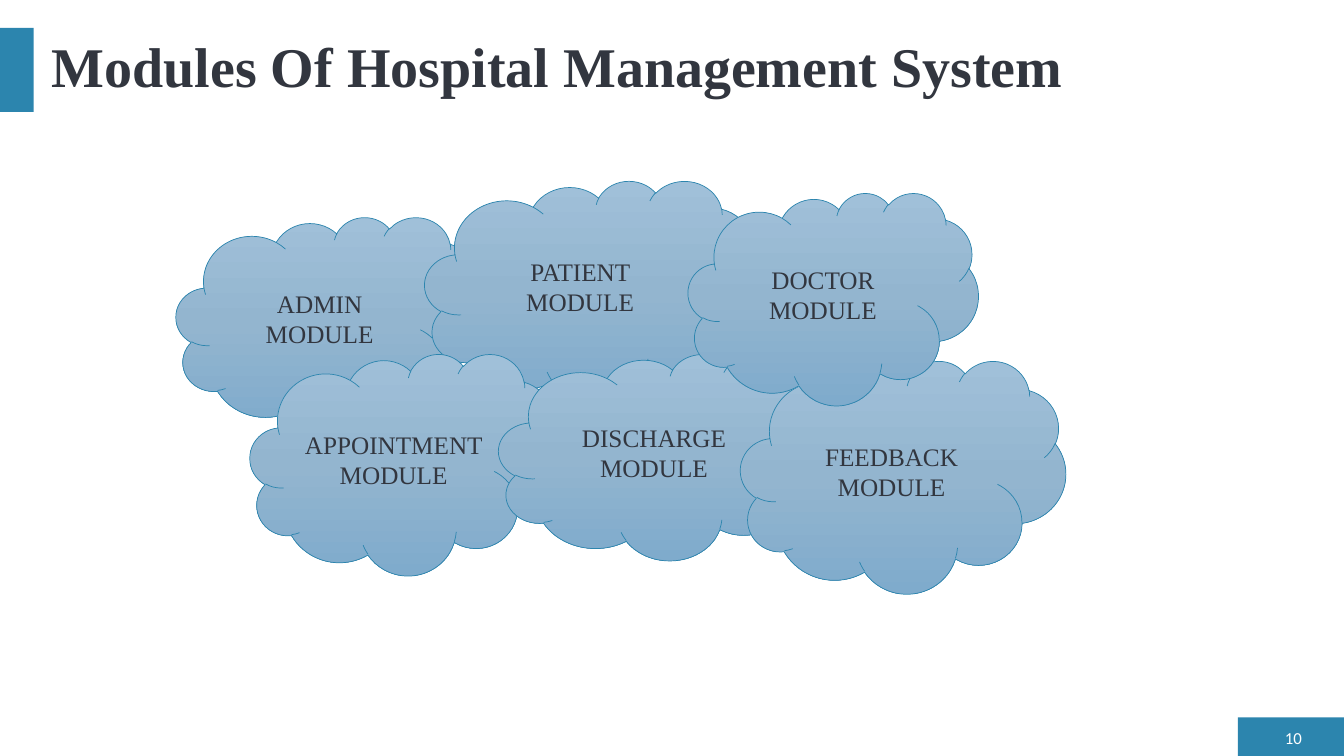
from copy import deepcopy
from dataclasses import dataclass

from pptx import Presentation
from pptx.dml.color import RGBColor
from pptx.enum.shapes import MSO_SHAPE as Shape
from pptx.enum.text import MSO_ANCHOR as Anchor, MSO_AUTO_SIZE as AutoSize, PP_ALIGN as Align
from pptx.oxml.ns import qn
from pptx.util import Inches, Pt

SLIDE_WIDTH, SLIDE_HEIGHT = Inches(13.33), Inches(7.5)


@dataclass(frozen=True)
class Theme:
    accent: str = "2C85AE"
    ink: str = "32363F"
    white: str = "FFFFFF"
    cloud_stops: tuple = ((0, "A0C0D9"), (0.5, "93B5CF"), (1, "7FABCC"))
    heading_font: str = "Times New Roman"
    number_font: str = "Calibri"
    title_size: int = 40
    module_size: int = 18
    number_size: int = 12


THEME = Theme()

# Boxes are left, top, width, height in percent of the slide
CORNER_BAR = (92.1, 94.9, 7.9, 5.1)
TITLE_BAR = (0, 3.7, 2.5, 11.1)
TITLE_BOX = (3.1, 3.6, 94.5, 11.1)
NUMBER_BOX = (94.5, 96, 3.1, 3.1)

# Listed from back to front, because the clouds overlap
MODULES = [
    ("ADMIN MODULE", (13.1, 28.7, 23, 28.1)),
    ("PATIENT MODULE", (31.6, 23.9, 24.9, 29.3)),
    ("APPOINTMENT MODULE", (18.6, 46.8, 23, 29.3)),
    ("DISCHARGE MODULE", (37.1, 46.8, 24.9, 27.3)),
    ("FEEDBACK MODULE", (55.1, 47.7, 24.2, 30.8)),
    ("DOCTOR MODULE", (51.2, 25.5, 21.6, 28.1)),
]


def place(box):
    """Turn a percent box into slide lengths."""
    sides = (SLIDE_WIDTH, SLIDE_HEIGHT) * 2
    return [round(share * side / 100) for share, side in zip(box, sides)]


def write(shape, text, font_name, size, color, align, bold=False):
    frame = shape.text_frame
    frame.text = text
    frame.word_wrap = True
    frame.auto_size = AutoSize.NONE
    frame.vertical_anchor = Anchor.MIDDLE
    paragraph = frame.paragraphs[0]
    paragraph.alignment = align
    font = paragraph.runs[0].font
    font.name, font.size, font.bold = font_name, Pt(size), bold
    font.color.rgb = RGBColor.from_string(color)
    return paragraph


def add_bar(slide, box):
    bar = slide.shapes.add_shape(Shape.RECTANGLE, *place(box))
    bar.shadow.inherit = False
    bar.fill.solid()
    bar.fill.fore_color.rgb = RGBColor.from_string(THEME.accent)
    bar.line.fill.background()


def add_title(slide, text):
    title = slide.shapes.title
    title.left, title.top, title.width, title.height = place(TITLE_BOX)
    paragraph = write(title, text, THEME.heading_font, THEME.title_size,
                      THEME.ink, Align.LEFT, bold=True)
    paragraph.line_spacing = 0.9


def add_slide_number(slide, number):
    box = slide.shapes.add_textbox(*place(NUMBER_BOX))
    write(box, number, THEME.number_font, THEME.number_size, THEME.white, Align.RIGHT)


def fill_gradient(shape):
    shape.fill.gradient()
    shape.fill.gradient_angle = 270
    # The new gradient has two stops; a third goes between them
    first_stop = next(shape.element.spPr.iter(qn("a:gs")))
    first_stop.addnext(deepcopy(first_stop))
    for stop, (position, color) in zip(shape.fill.gradient_stops, THEME.cloud_stops):
        stop.position = position
        stop.color.rgb = RGBColor.from_string(color)


def add_module(slide, name, box):
    cloud = slide.shapes.add_shape(Shape.CLOUD, *place(box))
    cloud.shadow.inherit = False
    fill_gradient(cloud)
    cloud.line.color.rgb = RGBColor.from_string(THEME.accent)
    cloud.line.width = Pt(0.5)
    write(cloud, name, THEME.heading_font, THEME.module_size, THEME.ink, Align.CENTER)


def main():
    presentation = Presentation()
    presentation.slide_width, presentation.slide_height = SLIDE_WIDTH, SLIDE_HEIGHT
    slide = presentation.slides.add_slide(presentation.slide_layouts[5])

    # Frame: bars, title and page number
    for box in (CORNER_BAR, TITLE_BAR):
        add_bar(slide, box)
    add_title(slide, "Modules Of Hospital Management System")
    add_slide_number(slide, "10")

    # Module clouds
    for name, box in MODULES:
        add_module(slide, name, box)

    presentation.save("out.pptx")


if __name__ == "__main__":
    main()
